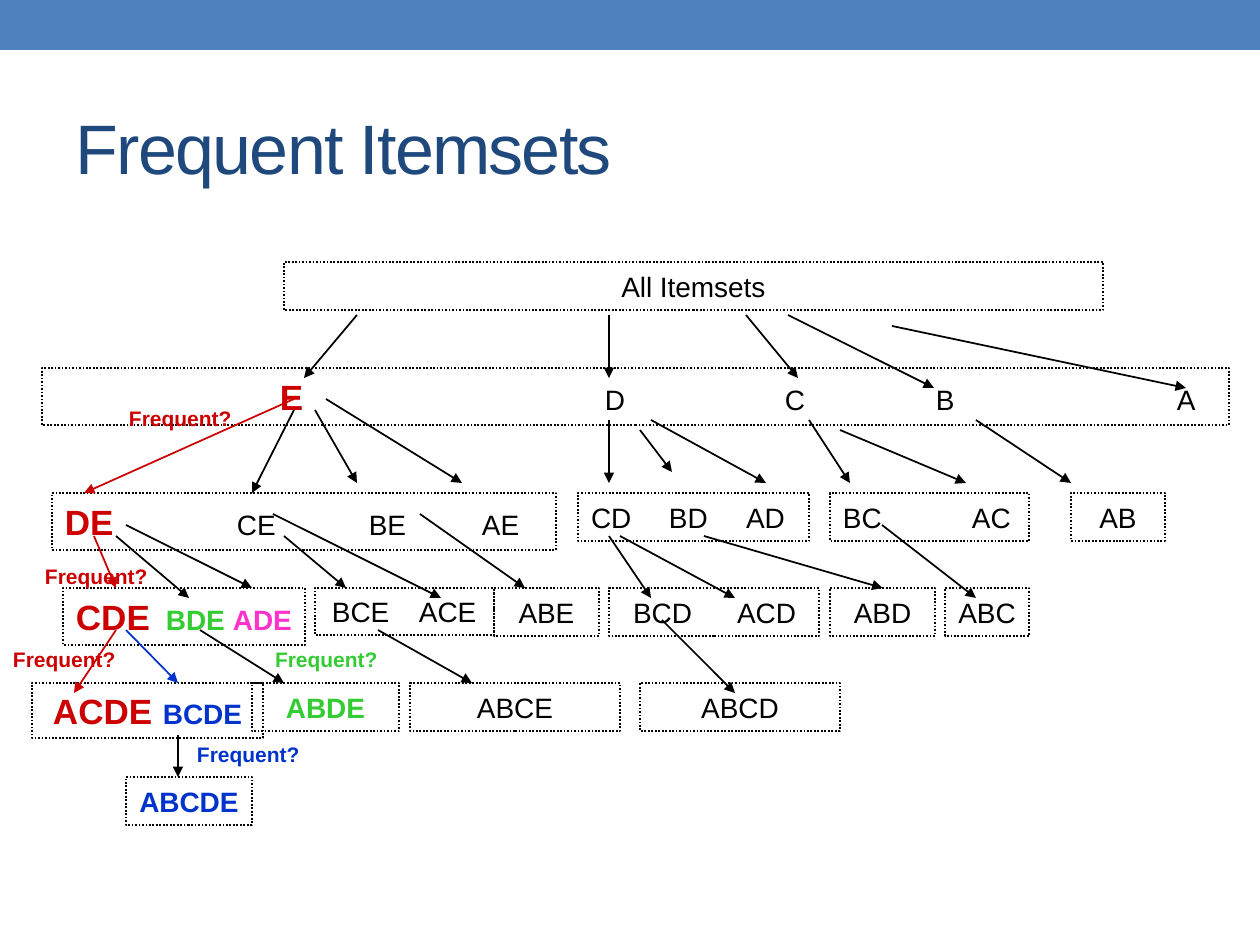
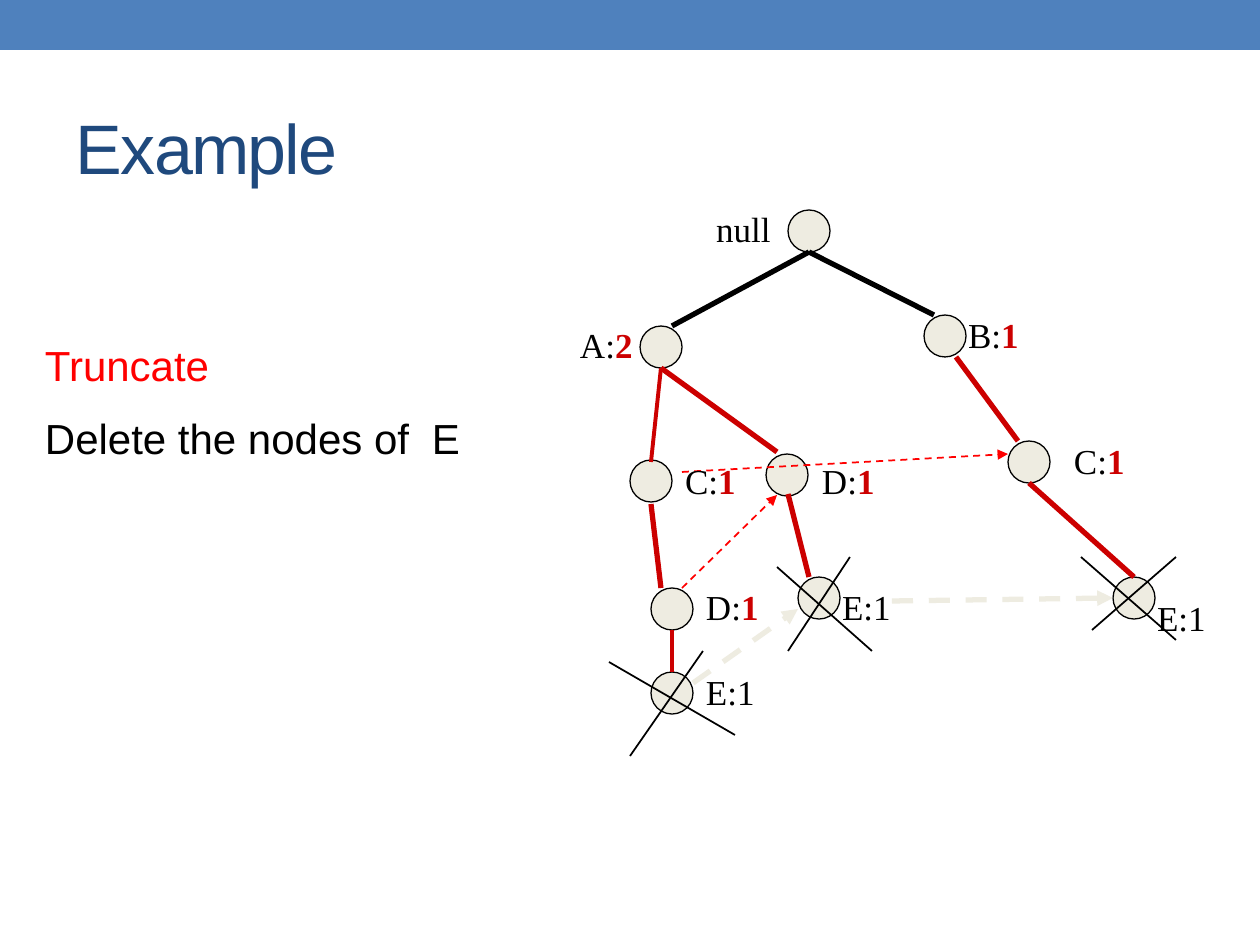
from lxml import etree
from pptx import Presentation
from pptx.dml.color import RGBColor
from pptx.enum.dml import MSO_LINE
from pptx.enum.shapes import MSO_CONNECTOR, MSO_SHAPE
from pptx.enum.text import MSO_ANCHOR, PP_ALIGN
from pptx.oxml.ns import qn
from pptx.util import Pt

SCALE = 914400 / 126
STRAIGHT = MSO_CONNECTOR.STRAIGHT
RECTANGLE, OVAL = MSO_SHAPE.RECTANGLE, MSO_SHAPE.OVAL
DOTTED, DASHED = MSO_LINE.ROUND_DOT, MSO_LINE.DASH
LEFT, CENTER = PP_ALIGN.LEFT, PP_ALIGN.CENTER
MIDDLE = MSO_ANCHOR.MIDDLE
SANS, SERIF = "Arial", "Times New Roman"
BAND, TITLE, BEIGE, BLACK = "4F81BD", "1F497D", "EEECE1", "000000"
CRIMSON, RED, GREEN, PINK, BLUE = "CC0000", "FF0000", "33CC33", "FF33CC", "0033CC"
BIG_RED = {"size": 20, "color": CRIMSON, "bold": True}
BOLD_GREEN = {"color": GREEN, "bold": True}
BOLD_PINK = {"color": PINK, "bold": True}
BOLD_BLUE = {"color": BLUE, "bold": True}
PLAIN = {}

# Each itemset is its name, its distance from the left of its box, and its format.
LEVELS = [
    (0, [(284, 819, 48, [("All Itemsets", None, PLAIN)])]),
    (106, [(42, 1187, 57, [("Ε", 238, BIG_RED), ("D", 563, PLAIN), ("C", 743, PLAIN),
                           ("B", 894, PLAIN), ("A", 1135, PLAIN)])]),
    (231, [(52, 504, 57, [("DE", 13, BIG_RED), ("CE", 185, PLAIN),
                          ("BE", 317, PLAIN), ("AE", 430, PLAIN)]),
           (578, 231, 48, [("CD", 13, PLAIN), ("BD", 91, PLAIN), ("AD", 168, PLAIN)]),
           (830, 199, 48, [("BC", 13, PLAIN), ("AC", 142, PLAIN)]),
           (1071, 94, 48, [("AB", None, PLAIN)])]),
    (326, [(63, 242, 57, [("CDE", 13, BIG_RED), ("BDE", 103, BOLD_GREEN),
                          ("ADE", 170, BOLD_PINK)]),
           (315, 179, 47, [("BCE", 17, PLAIN), ("ACE", 104, PLAIN)]),
           (494, 105, 48, [("ABE", None, PLAIN)]),
           (609, 210, 48, [("BCD", 24, PLAIN), ("ACD", 128, PLAIN)]),
           (830, 105, 48, [("ABD", None, PLAIN)]),
           (945, 84, 48, [("ABC", None, PLAIN)])]),
    (421, [(32, 231, 55, [("ACDE", 21, BIG_RED), ("BCDE", 131, BOLD_BLUE)]),
           (252, 147, 48, [("ABDE", None, BOLD_GREEN)]),
           (410, 210, 48, [("ABCE", None, PLAIN)]),
           (640, 200, 48, [("ABCD", None, PLAIN)])]),
    (515, [(126, 126, 48, [("ABCDE", None, BOLD_BLUE)])]),
]
EXTENSIONS = {
    BLACK: [
        (357, 53, 304, 116), (609, 53, 609, 116), (746, 53, 798, 116),
        (788, 53, 934, 126), (892, 64, 1186, 126),
        (294, 148, 252, 231), (315, 148, 357, 221), (326, 137, 462, 221),
        (609, 158, 609, 221), (640, 168, 672, 210), (651, 158, 766, 221),
        (809, 158, 850, 221), (840, 168, 966, 221), (976, 158, 1071, 221),
        (116, 274, 189, 336), (126, 263, 252, 326), (284, 274, 346, 326),
        (273, 252, 441, 336), (420, 252, 525, 326), (609, 274, 651, 336),
        (620, 274, 735, 336), (882, 263, 976, 336),
        (200, 368, 284, 421), (378, 368, 472, 421), (662, 358, 735, 431),
        (178, 473, 178, 515)],
    CRIMSON: [(294, 137, 84, 231), (94, 274, 116, 326), (116, 368, 74, 431)],
    BLUE: [(126, 368, 178, 421)],
}
QUESTIONS = [(116, 137, CRIMSON), (32, 295, CRIMSON), (0, 378, CRIMSON),
             (262, 378, GREEN), (184, 473, BLUE)]

# Each tree node is its corner, the corner of its label, its item and its red count.
TREE_NODES = [
    (221, 11, 136, 0, "null", ""), (73, 127, 0, 116, "A:", "2"),
    (357, 116, 388, 106, "B:", "1"), (441, 242, 494, 232, "C:", "1"),
    (63, 261, 105, 252, "C:", "1"), (199, 255, 242, 252, "D:", "1"),
    (84, 389, 126, 378, "D:", "1"), (231, 378, 262, 378, "E:1", ""),
    (546, 378, 577, 389, "E:1", ""), (84, 473, 126, 463, "E:1", ""),
]
BRANCHES = [
    (BLACK, 3, [(242, 53, 105, 127), (242, 53, 367, 116)]),
    (CRIMSON, 3, [(451, 242, 389, 158), (84, 305, 94, 389), (567, 378, 462, 284),
                  (210, 253, 94, 169), (242, 378, 221, 295)]),
    (CRIMSON, 2.25, [(84, 263, 94, 169), (105, 431, 105, 473)]),
]
NODE_LINKS = [
    (RED, 1, [(115, 389, 210, 296), (115, 273, 441, 255)]),
    (BEIGE, 3, [(325, 402, 546, 399), (126, 484, 231, 410)]),
]
CROSSES = [(42, 463, 168, 536), (136, 452, 63, 557), (210, 368, 305, 452),
           (283, 358, 221, 452), (514, 358, 609, 441), (609, 358, 525, 431)]


def px(*lengths):
    """Turn px lengths into EMU."""
    return [round(length * SCALE) for length in lengths]


def rgb(color):
    """Turn a hex string into a colour."""
    return RGBColor.from_string(color)


def write(shape, *paragraphs, size=16, color=BLACK, font=SANS, bold=False,
          align=LEFT, inset=(13, 0), before=0, stops=(), spacing=None):
    """Fill a shape with paragraphs, each a list of (words, format) runs."""
    frame = shape.text_frame
    frame.word_wrap = True
    frame.vertical_anchor = MIDDLE
    frame.margin_left, frame.margin_top = px(*inset)
    frame.margin_right = frame.margin_bottom = 0
    for index, runs in enumerate(paragraphs):
        paragraph = frame.add_paragraph() if index else frame.paragraphs[0]
        paragraph.alignment = align
        paragraph.space_before = Pt(before if index else 0)
        if stops:
            tabs = etree.SubElement(paragraph._p.get_or_add_pPr(), qn("a:tabLst"))
            for stop in px(*stops):
                etree.SubElement(tabs, qn("a:tab"), pos=str(stop), algn="l")
        for words, look in runs:
            run = paragraph.add_run()
            run.text = words
            run.font.name = font
            run.font.size = Pt(look.get("size", size))
            run.font.bold = look.get("bold", bold)
            run.font.color.rgb = rgb(look.get("color", color))
            if spacing:
                run._r.get_or_add_rPr().set("spc", str(spacing))


def add_text(slide, box, *paragraphs, **look):
    """Add a text box."""
    write(slide.shapes.add_textbox(*px(*box)), *paragraphs, **look)


def add_figure(slide, kind, box, fill=None, line=None, width=1, dash=None):
    """Add a flat preset shape."""
    figure = slide.shapes.add_shape(kind, *px(*box))
    figure.shadow.inherit = False
    if fill:
        figure.fill.solid()
        figure.fill.fore_color.rgb = rgb(fill)
    else:
        figure.fill.background()
    if line:
        figure.line.color.rgb = rgb(line)
        figure.line.width = Pt(width)
        figure.line.dash_style = dash
    else:
        figure.line.fill.background()
    return figure


def add_line(slide, origin, ends, color=BLACK, width=1, dash=None, arrow=False):
    """Add a straight line between two points measured from the origin."""
    left, top = origin
    x1, y1, x2, y2 = ends
    line = slide.shapes.add_connector(
        STRAIGHT, *px(left + x1, top + y1, left + x2, top + y2))
    line.line.color.rgb = rgb(color)
    line.line.width = Pt(width)
    line.line.dash_style = dash
    if arrow:
        etree.SubElement(line.line._get_or_add_ln(), qn("a:tailEnd"), type="triangle")
    etree.SubElement(line._element.spPr, qn("a:effectLst"))
    return line


def add_titled_slide(deck, title):
    """Add a slide with the top band and its title."""
    slide = deck.slides.add_slide(deck.slide_layouts[6])
    add_figure(slide, RECTANGLE, (0, 0, 1260, 50), fill=BAND)
    add_text(slide, (63, 73, 1134, 136), [(title, PLAIN)],
             size=40, color=TITLE, inset=(13, 10), spacing=-100)
    return slide


def add_itemset_box(slide, box, itemsets):
    """Add a dotted box with one centred itemset or several at tab stops."""
    group = add_figure(slide, RECTANGLE, box, line=BLACK, dash=DOTTED)
    names = [("\t" * (index > 0) + name, look)
             for index, (name, _, look) in enumerate(itemsets)]
    first = itemsets[0][1]
    if first is None:
        write(group, names, align=CENTER, inset=(0, 0))
    else:
        stops = [offset - first for _, offset, _ in itemsets[1:]]
        write(group, names, inset=(first, 0), stops=stops)
    return group


def add_lattice(slide, origin):
    """Draw the itemset levels, their extensions and the open questions."""
    left, top = origin
    groups = {}
    for level, boxes in LEVELS:
        for x, width, height, itemsets in boxes:
            groups[itemsets[0][0]] = add_itemset_box(
                slide, (left + x, top + level, width, height), itemsets)
    for color, arrows in EXTENSIONS.items():
        for ends in arrows:
            add_line(slide, origin, ends, color, arrow=True)
    to_abd = add_line(slide, origin, (704, 274, 882, 326), arrow=True)
    to_abd.end_connect(groups["ABD"], 0)
    for x, y, color in QUESTIONS:
        add_text(slide, (left + x, top + y, 148, 38), [("Frequent?", PLAIN)],
                 size=12, color=color, bold=True)


def add_tree(slide, origin):
    """Draw the prefix tree with its node links and deleted nodes."""
    left, top = origin
    for x, y, *_ in TREE_NODES:
        add_figure(slide, OVAL, (left + x, top + y, 42, 42), BEIGE, BLACK, 0.75)
    for color, width, branches in BRANCHES:
        for ends in branches:
            add_line(slide, origin, ends, color, width)
    for color, width, links in NODE_LINKS:
        for ends in links:
            add_line(slide, origin, ends, color, width, DASHED, arrow=True)
    for *_, x, y, item, count in TREE_NODES:
        runs = [(item, PLAIN)] + ([(count, BIG_RED)] if count else [])
        add_text(slide, (left + x, top + y, 84, 54), runs,
                 size=20, font=SERIF, inset=(13, 5))
    for ends in CROSSES:
        add_line(slide, origin, ends)


def main():
    """Build both slides and save them."""
    deck = Presentation()
    deck.slide_width, deck.slide_height = px(1260, 945)
    add_lattice(add_titled_slide(deck, "Frequent Itemsets"), (0, 262))
    example = add_titled_slide(deck, "Example")
    add_tree(example, (567, 199))
    add_text(example, (32, 331, 514, 140), [("Truncate", {"color": RED})],
             [("Delete the nodes of\tΕ", PLAIN)], size=24, before=13, stops=[387])
    deck.save("out.pptx")


if __name__ == "__main__":
    main()
